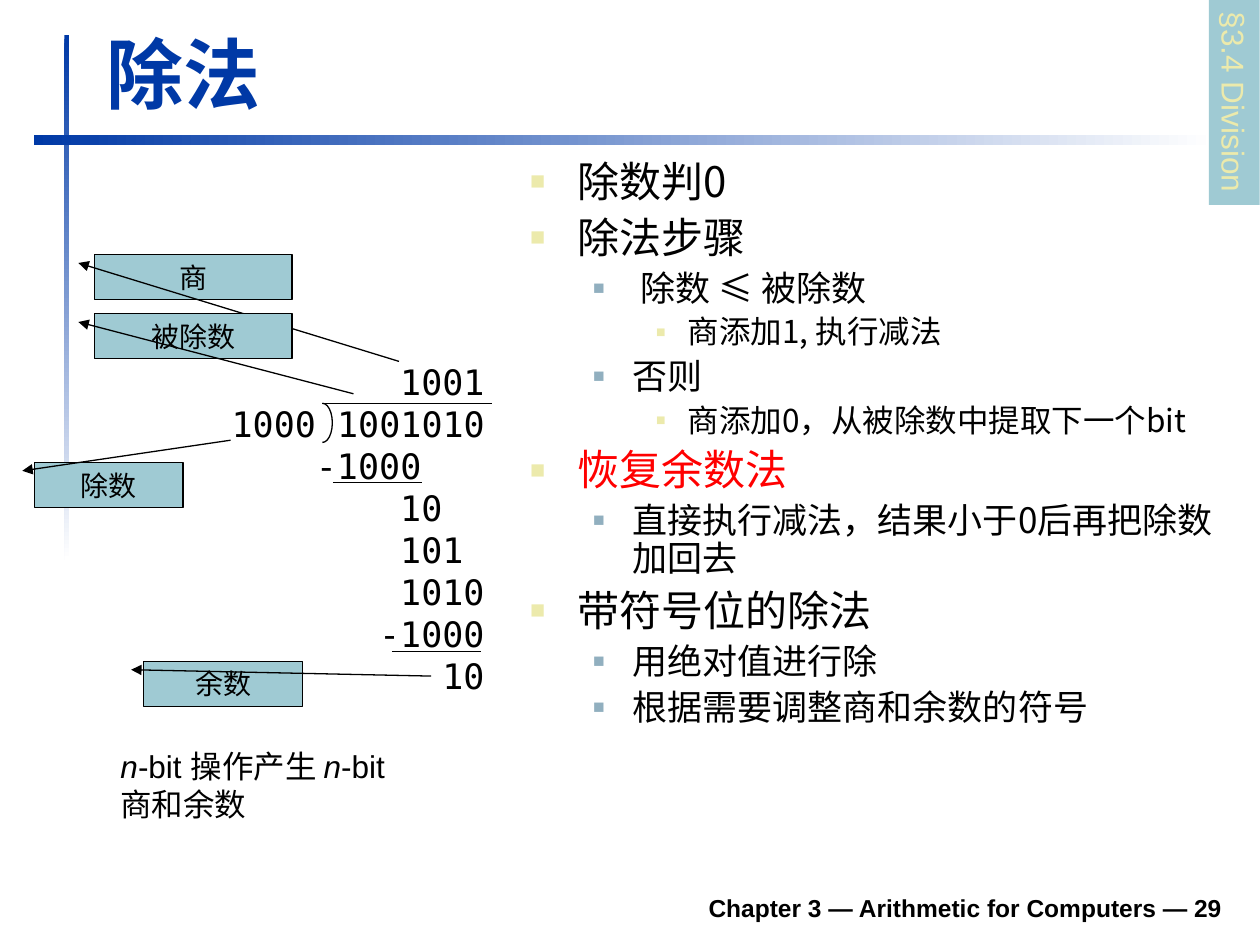
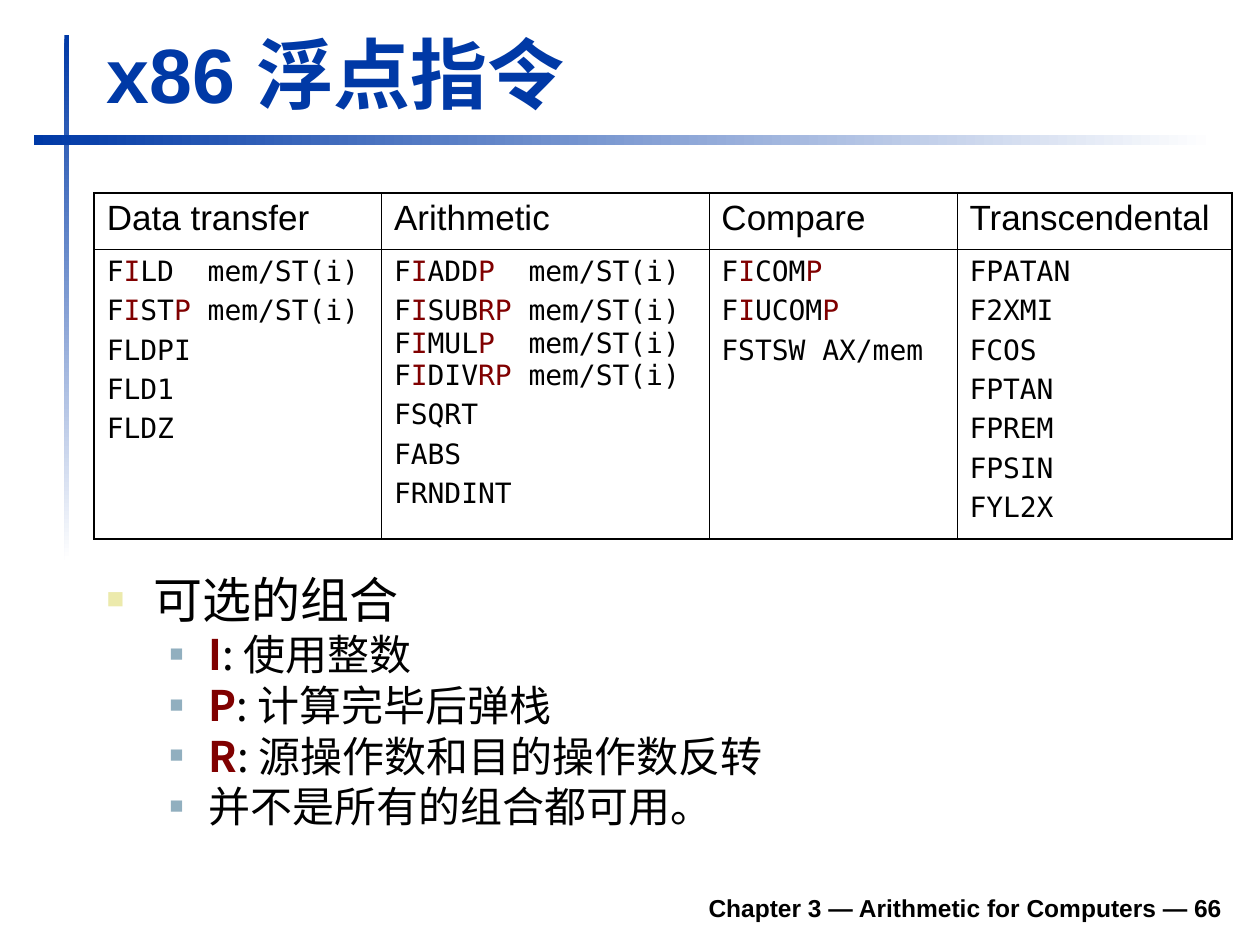
from dataclasses import dataclass, replace
from typing import NamedTuple

from lxml.etree import SubElement
from pptx import Presentation
from pptx.dml.color import RGBColor
from pptx.enum.shapes import MSO_CONNECTOR, MSO_SHAPE
from pptx.enum.text import MSO_ANCHOR, MSO_AUTO_SIZE, PP_ALIGN
from pptx.oxml.ns import qn
from pptx.util import Cm, Pt

COLORS = {
    "title": "0039A6",
    "text": "000000",
    "white": "FFFFFF",
    "teal": "9FCAD3",
    "cream": "ECEAAC",
    "steel": "91AFBF",
    "red": "FF0000",
    "maroon": "800000",
}
CJK_FONT = "Noto Sans CJK SC"
CODE_FONT = "DejaVu Sans Mono"
TITLE_ONLY_LAYOUT = 5


class Box(NamedTuple):
    left: float
    top: float
    width: float
    height: float

    def lengths(self) -> list:
        return [Cm(value) for value in self]


@dataclass(frozen=True)
class TextStyle:
    size: float
    font: str = "Arial"
    color: str = "text"
    bold: bool = False
    italic: bool = False


class BulletLevel(NamedTuple):
    left: float
    hanging: float
    color: str
    percent: int


class BulletItem(NamedTuple):
    level: int
    text: str
    color: str = "text"


class Callout(NamedTuple):
    label: str
    box: Box
    end_y: float
    end_x: float


class Rule(NamedTuple):
    start_x: float
    end_x: float
    y: float


class DigitRow(NamedTuple):
    columns: int
    digits: str


BULLET_LEVELS = [
    BulletLevel(0.95, 0.95, "cream", 60),
    BulletLevel(2.06, 0.79, "steel", 55),
    BulletLevel(3.18, 0.64, "cream", 50),
]

# Division slide
DIVISION_POINTS = [
    BulletItem(0, "除数判0"),
    BulletItem(0, "除法步骤"),
    BulletItem(1, " 除数 ≤ 被除数"),
    BulletItem(2, "商添加1, 执行减法"),
    BulletItem(1, "否则"),
    BulletItem(2, "商添加0，从被除数中提取下一个bit"),
    BulletItem(0, "恢复余数法", "red"),
    BulletItem(1, "直接执行减法，结果小于0后再把除数加回去"),
    BulletItem(0, "带符号位的除法"),
    BulletItem(1, "用绝对值进行除"),
    BulletItem(1, "根据需要调整商和余数的符号"),
]
LONG_DIVISION = [
    DigitRow(8, "1001"),
    DigitRow(0, "1000 1001010"),
    DigitRow(4, "-1000"),
    DigitRow(8, "10"),
    DigitRow(8, "101"),
    DigitRow(8, "1010"),
    DigitRow(7, "-1000"),
    DigitRow(10, "10"),
]
DIGIT_WIDTH = 12.04  # points per character at 20 pt
DIVISION_RULES = [Rule(6.5, 9.91, 8.13), Rule(6.71, 8.51, 9.73), Rule(7.9, 9.7, 13.13)]
CALLOUTS = [
    Callout("商", Box(1.9, 5.13, 3.99, 0.91), 2.37, 1.54),
    Callout("被除数", Box(1.9, 6.32, 3.99, 0.91), 1.78, 1.31),
    Callout("余数", Box(2.9, 13.33, 3.2, 0.91), 0.33, 1.81),
    Callout("除数", Box(0.69, 9.32, 3.0, 0.91), -0.49, 1.32),
]

# Floating-point slide: text between asterisks is emphasised
INSTRUCTIONS = {
    "Data transfer": [
        "F*I*LD  mem/ST(i)", "F*I*ST*P* mem/ST(i)", "FLDPI", "FLD1", "FLDZ",
    ],
    "Arithmetic": [
        "F*I*ADD*P*  mem/ST(i)",
        "F*I*SUB*RP *mem/ST(i) F*I*MUL*P*  mem/ST(i) F*I*DIV*RP* mem/ST(i)",
        "FSQRT", "FABS", "FRNDINT",
    ],
    "Compare": ["F*I*COM*P*", "F*I*UCOM*P*", "FSTSW AX/mem"],
    "Transcendental": ["FPATAN", "F2XMI", "FCOS", "FPTAN", "FPREM", "FPSIN", "FYL2X"],
}
COLUMN_WIDTHS = [5.79, 6.6, 5.0, 5.54]
ROW_HEIGHTS = [1.14, 5.84]
OPTION_POINTS = [
    BulletItem(0, "可选的组合"),
    BulletItem(1, "*I*: 使用整数"),
    BulletItem(1, "*P*: 计算完毕后弹栈"),
    BulletItem(1, "*R*: 源操作数和目的操作数反转"),
    BulletItem(1, "并不是所有的组合都可用。"),
]


def rgb(name: str) -> RGBColor:
    return RGBColor.from_string(COLORS[name])


def format_run(run, style: TextStyle) -> None:
    font = run.font
    font.name = style.font
    font.size = Pt(style.size)
    font.bold = style.bold
    font.italic = style.italic
    font.color.rgb = rgb(style.color)
    SubElement(run._r.get_or_add_rPr(), qn("a:ea"), typeface=CJK_FONT)


def write_runs(paragraph, text: str, style: TextStyle, emphasis: TextStyle | None = None) -> None:
    for index, part in enumerate(text.split("*")):
        if part:
            run = paragraph.add_run()
            run.text = part
            format_run(run, emphasis if index % 2 and emphasis else style)


def paragraphs_for(text_frame, count: int) -> list:
    added = [text_frame.add_paragraph() for _ in range(count - 1)]
    return [text_frame.paragraphs[0], *added]


def add_text_box(slide, box: Box):
    text_frame = slide.shapes.add_textbox(*box.lengths()).text_frame
    text_frame.word_wrap = True
    return text_frame


def add_plain_shape(slide, kind, box: Box, fill: str | None = None, outlined: bool = False):
    shape = slide.shapes.add_shape(kind, *box.lengths())
    shape.shadow.inherit = False
    if fill:
        shape.fill.solid()
        shape.fill.fore_color.rgb = rgb(fill)
    else:
        shape.fill.background()
    if outlined:
        shape.line.color.rgb = rgb("text")
        shape.line.width = Pt(0.75)
    else:
        shape.line.fill.background()
    return shape


def add_band(slide, box: Box, angle: int) -> None:
    band = add_plain_shape(slide, MSO_SHAPE.RECTANGLE, box)
    band.fill.gradient()
    band.fill.gradient_angle = angle
    for stop, name in zip(band.fill.gradient_stops, ("title", "white")):
        stop.color.rgb = rgb(name)


def add_rule(slide, rule: Rule) -> None:
    y = Cm(rule.y)
    connector = slide.shapes.add_connector(
        MSO_CONNECTOR.STRAIGHT, Cm(rule.start_x), y, Cm(rule.end_x), y)
    connector.line.color.rgb = rgb("text")
    connector.line.width = Pt(0.75)
    SubElement(connector._element.spPr, qn("a:effectLst"))


def add_callout(slide, callout: Callout) -> None:
    shape = add_plain_shape(slide, MSO_SHAPE.LINE_CALLOUT_1, callout.box, "teal", True)
    for index, value in enumerate((0.19, -0.08, callout.end_y, callout.end_x)):
        shape.adjustments[index] = value
    SubElement(shape._element.spPr.find(qn("a:ln")), qn("a:headEnd"), type="triangle")
    paragraph = shape.text_frame.paragraphs[0]
    paragraph.alignment = PP_ALIGN.CENTER
    write_runs(paragraph, callout.label, TextStyle(16))


def add_bullets(slide, box: Box, items: list[BulletItem], sizes: list[int], spacing: float) -> None:
    paragraphs = paragraphs_for(add_text_box(slide, box), len(items))
    for index, (paragraph, item) in enumerate(zip(paragraphs, items)):
        level, size = BULLET_LEVELS[item.level], sizes[item.level]
        paragraph.level = item.level
        properties = paragraph._p.get_or_add_pPr()
        properties.set("marL", str(Cm(level.left)))
        properties.set("indent", str(-Cm(level.hanging)))
        color = SubElement(properties, qn("a:buClr"))
        SubElement(color, qn("a:srgbClr"), val=COLORS[level.color])
        SubElement(properties, qn("a:buSzPct"), val=str(level.percent * 1000))
        SubElement(properties, qn("a:buFont"), typeface="Arial")
        SubElement(properties, qn("a:buChar"), char="■")
        paragraph.line_spacing = spacing
        paragraph.space_before = Pt(size / 4 if index else 0)
        style = TextStyle(size, CJK_FONT, item.color)
        write_runs(paragraph, item.text, style, replace(style, color="maroon", bold=True))


def set_borders(cell, widths: dict[str, float]) -> None:
    properties = cell._tc.get_or_add_tcPr()
    for index, (side, width) in enumerate(widths.items()):
        line = SubElement(properties, qn(f"a:ln{side}"), w=str(Pt(width)))
        fill = SubElement(line, qn("a:solidFill"))
        SubElement(fill, qn("a:srgbClr"), val=COLORS["text"])
        properties.insert(index, line)


def add_instruction_table(slide) -> None:
    box = Box(1.9, 3.89, sum(COLUMN_WIDTHS), sum(ROW_HEIGHTS))
    table = slide.shapes.add_table(2, len(INSTRUCTIONS), *box.lengths()).table
    table.first_row = table.horz_banding = False
    for row, height in zip(table.rows, ROW_HEIGHTS):
        row.height = Cm(height)
    last = len(INSTRUCTIONS) - 1
    code = TextStyle(16, CODE_FONT)
    for column, (heading, lines) in enumerate(INSTRUCTIONS.items()):
        table.columns[column].width = Cm(COLUMN_WIDTHS[column])
        for row, (texts, style) in enumerate((([heading], TextStyle(20)), (lines, code))):
            cell = table.cell(row, column)
            cell.fill.background()
            set_borders(cell, {
                "L": 0.45 if column else 1.08,
                "R": 1.08 if column == last else 0.45,
                "T": 0.75 if row else 1.08,
                "B": 1.08 if row else 0.75,
            })
            paragraphs = paragraphs_for(cell.text_frame, len(texts))
            for index, (paragraph, text) in enumerate(zip(paragraphs, texts)):
                paragraph.space_before = Pt(style.size / 4 if index else 0)
                write_runs(paragraph, text, style, replace(style, color="maroon"))


def add_titled_slide(presentation, title: str, number: int):
    slide = presentation.slides.add_slide(presentation.slide_layouts[TITLE_ONLY_LAYOUT])
    add_band(slide, Box(1.3, 0.71, 0.1, 10.59), 270)
    add_band(slide, Box(0.69, 2.72, 23.8, 0.2), 0)
    # Title
    shape = slide.shapes.title
    shape.left, shape.top, shape.width, shape.height = Box(1.9, 0.41, 22.94, 2.11).lengths()
    text_frame = shape.text_frame
    text_frame.vertical_anchor = MSO_ANCHOR.BOTTOM
    text_frame.auto_size = MSO_AUTO_SIZE.SHAPE_TO_FIT_TEXT
    text_frame.paragraphs[0].alignment = PP_ALIGN.LEFT
    write_runs(text_frame.paragraphs[0], title, TextStyle(44, color="title", bold=True))
    # Footer
    footer = add_text_box(slide, Box(4.7, 17.73, 20.19, 0.99))
    footer.vertical_anchor = MSO_ANCHOR.BOTTOM
    footer.paragraphs[0].alignment = PP_ALIGN.RIGHT
    write_runs(footer.paragraphs[0], f"Chapter 3 — Arithmetic for Computers — {number}",
               TextStyle(14, bold=True))
    return slide


def build_division_slide(presentation) -> None:
    slide = add_titled_slide(presentation, "除法", 29)
    add_bullets(slide, Box(10.44, 3.12, 14.45, 14.2), DIVISION_POINTS, [24, 20, 18], 0.9)
    # Long division
    digits = add_text_box(slide, Box(4.42, 7.14, 5.8, 7.04))
    for paragraph, row in zip(paragraphs_for(digits, len(LONG_DIVISION)), LONG_DIVISION):
        paragraph._p.get_or_add_pPr().set("marL", str(Pt(row.columns * DIGIT_WIDTH)))
        write_runs(paragraph, row.digits, TextStyle(20, CODE_FONT))
    for rule in DIVISION_RULES:
        add_rule(slide, rule)
    bracket = add_plain_shape(
        slide, MSO_SHAPE.RIGHT_BRACKET, Box(6.5, 8.13, 0.2, 0.79), outlined=True)
    bracket.adjustments[0] = 1.95
    # Labels and remark
    for callout in CALLOUTS:
        add_callout(slide, callout)
    remark = ["*n*-bit 操作产生 *n*-bit", "商和余数"]
    remark_frame = add_text_box(slide, Box(2.18, 14.94, 6.4, 1.78))
    for paragraph, text in zip(paragraphs_for(remark_frame, len(remark)), remark):
        write_runs(paragraph, text, TextStyle(18), TextStyle(18, italic=True))
    # Section tag
    tag = add_plain_shape(slide, MSO_SHAPE.RECTANGLE, Box(22.81, 1.55, 4.14, 1.02), "teal")
    tag.rotation = 90
    tag.text_frame.word_wrap = False
    tag.text_frame.paragraphs[0].alignment = PP_ALIGN.LEFT
    write_runs(tag.text_frame.paragraphs[0], "§3.4 Division", TextStyle(18, color="cream"))


def build_floating_point_slide(presentation) -> None:
    slide = add_titled_slide(presentation, "x86 浮点指令", 66)
    add_bullets(slide, Box(1.9, 11.58, 22.96, 5.74), OPTION_POINTS, [28, 24], 0.8)
    add_instruction_table(slide)


def main() -> None:
    presentation = Presentation()
    presentation.slide_width, presentation.slide_height = Cm(25.4), Cm(19.05)
    build_division_slide(presentation)
    build_floating_point_slide(presentation)
    presentation.save("out.pptx")


if __name__ == "__main__":
    main()
